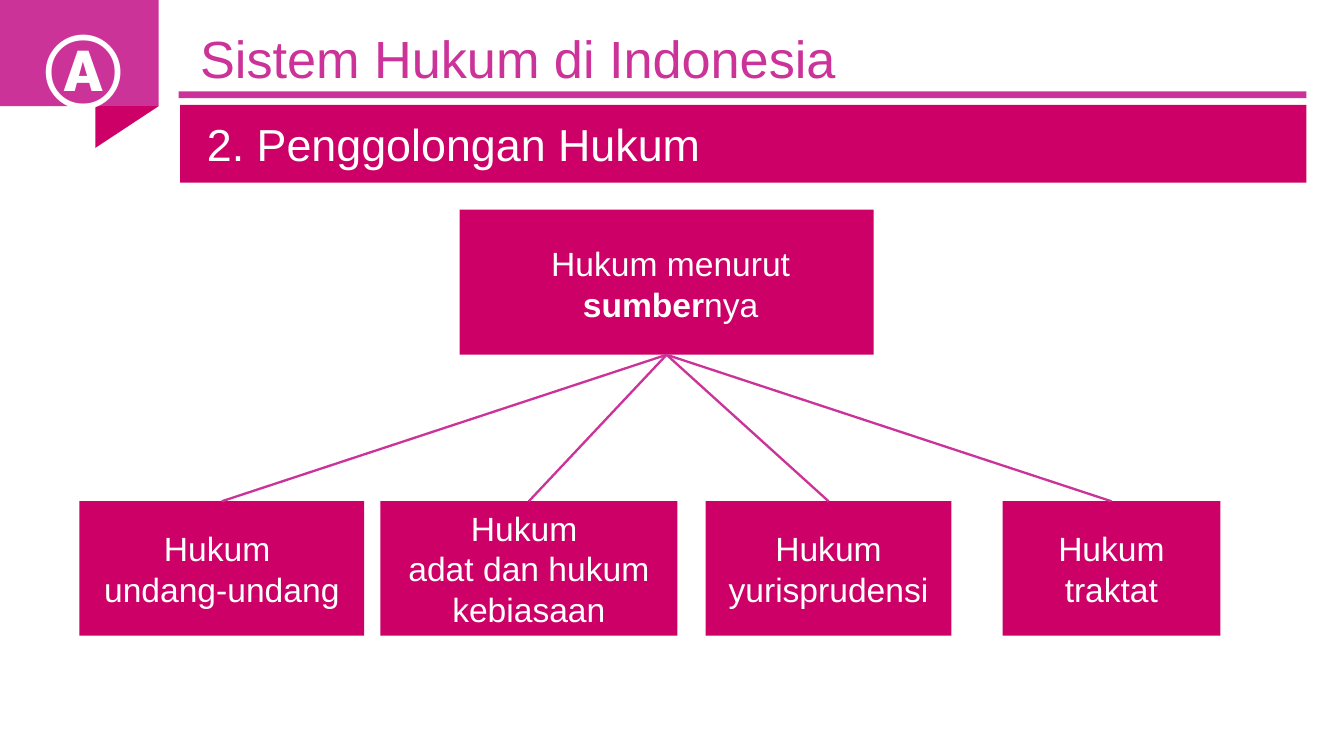
from collections import namedtuple
from dataclasses import dataclass

from lxml.etree import SubElement
from pptx import Presentation
from pptx.dml.color import RGBColor
from pptx.enum.shapes import MSO_CONNECTOR, MSO_SHAPE
from pptx.enum.text import MSO_ANCHOR, PP_ALIGN
from pptx.oxml.ns import qn
from pptx.util import Inches, Pt

Box = namedtuple("Box", "left top width height")


@dataclass(frozen=True)
class Theme:
    font: str = "Arial"
    deep: RGBColor = RGBColor(0xCC, 0x00, 0x66)
    accent: RGBColor = RGBColor(0xCC, 0x33, 0x99)
    white: RGBColor = RGBColor(0xFF, 0xFF, 0xFF)
    badge_size: int = 40
    title_size: int = 28
    subtitle_size: int = 24
    node_size: int = 18
    branch_width: float = 1.25


THEME = Theme()


def inside(outer, left, top, width, height):
    return Box(outer.left + left, outer.top + top, width, height)


def add_block(slide, box, color, kind=MSO_SHAPE.RECTANGLE):
    block = slide.shapes.add_shape(kind, *map(Inches, box))
    block.shadow.inherit = False
    block.fill.solid()
    block.fill.fore_color.rgb = color
    block.line.fill.background()
    return block


def set_margins(frame, side, vertical):
    frame.margin_left = frame.margin_right = Inches(side)
    frame.margin_top = frame.margin_bottom = Inches(vertical)


def write(shape, lines, size, color=THEME.white, align=PP_ALIGN.CENTER,
          anchor=MSO_ANCHOR.MIDDLE):
    """Each line is a list of (text, bold) runs."""
    frame = shape.text_frame
    frame.word_wrap = True
    frame.vertical_anchor = anchor
    for index, runs in enumerate(lines):
        paragraph = frame.add_paragraph() if index else frame.paragraphs[0]
        paragraph.alignment = align
        paragraph.font.name = THEME.font
        paragraph.font.size = Pt(size)
        paragraph.font.color.rgb = color
        for text, bold in runs:
            run = paragraph.add_run()
            run.text = text
            if bold:
                run.font.bold = True
    return frame


def add_heading(slide, box, text, size, color, align, anchor, bold=False):
    heading = slide.shapes.add_textbox(*map(Inches, box))
    frame = write(heading, [[(text, bold)]], size, color, align, anchor)
    set_margins(frame, 0.18, 0.09)
    frame.paragraphs[0].line_spacing = 1.2


def add_header(slide, box):
    # Folded ribbon with the chapter letter
    add_block(slide, inside(box, 0, 0, 1.18, 0.79), THEME.accent)
    fold = add_block(slide, inside(box, 0.79, 0.71, 0.31, 0.47),
                     THEME.deep, MSO_SHAPE.RIGHT_TRIANGLE)
    fold.rotation = 90
    add_heading(slide, inside(box, 0.16, 0.14, 0.78, 0.5), "Ⓐ", THEME.badge_size,
                THEME.white, PP_ALIGN.CENTER, MSO_ANCHOR.MIDDLE, bold=True)

    # Title and its rule
    add_heading(slide, inside(box, 1.31, 0.01, 8.26, 0.62),
                "Sistem Hukum di Indonesia", THEME.title_size,
                THEME.accent, PP_ALIGN.LEFT, MSO_ANCHOR.TOP)
    add_block(slide, inside(box, 1.33, 0.68, 8.39, 0.05), THEME.accent)

    # Subtitle band
    band = add_block(slide, inside(box, 1.34, 0.78, 8.38, 0.58), THEME.deep)
    frame = write(band, [[("2. Penggolongan Hukum", False)]],
                  THEME.subtitle_size, align=PP_ALIGN.LEFT)
    set_margins(frame, 0.03, 0.02)
    properties = frame.paragraphs[0]._p.get_or_add_pPr()
    properties.set("marL", str(Inches(0)))
    properties.set("indent", str(Inches(0.17)))


def add_branch(slide, parent, child):
    branch = slide.shapes.add_connector(MSO_CONNECTOR.STRAIGHT, 0, 0, 0, 0)
    branch.begin_connect(parent, 2)
    branch.end_connect(child, 0)
    branch.line.color.rgb = THEME.accent
    branch.line.width = Pt(THEME.branch_width)
    SubElement(branch._element.spPr, qn("a:effectLst"))


def add_source_tree(slide, box):
    # Root
    root = add_block(slide, inside(box, 2.83, 0, 3.08, 1.08), THEME.deep)
    root_label = add_block(slide, inside(box, 3.05, 0.2, 2.7, 0.71), THEME.deep)
    write(root_label,
          [[("Hukum menurut ", False), ("sumber", True), ("nya", False)]],
          THEME.node_size, anchor=MSO_ANCHOR.TOP)

    # Sources of law: left, width, lines
    sources = [
        (0, 2.12, ["Hukum ", "undang-undang"]),
        (2.24, 2.21, ["Hukum ", "adat dan hukum kebiasaan"]),
        (4.66, 1.83, ["Hukum yurisprudensi"]),
        (6.87, 1.62, ["Hukum traktat"]),
    ]
    height = 1
    for left, width, lines in sources:
        source = add_block(
            slide, inside(box, left, box.height - height, width, height), THEME.deep)
        write(source, [[(line, False)] for line in lines], THEME.node_size)
        add_branch(slide, root, source)


def main():
    presentation = Presentation()
    presentation.slide_width = Inches(10)
    presentation.slide_height = presentation.slide_width * 9 // 16
    slide = presentation.slides.add_slide(presentation.slide_layouts[6])
    add_source_tree(slide, Box(0.59, 1.56, 8.49, 3.17))
    add_header(slide, Box(0, 0, 9.72, 1.36))
    presentation.save("out.pptx")


if __name__ == "__main__":
    main()
